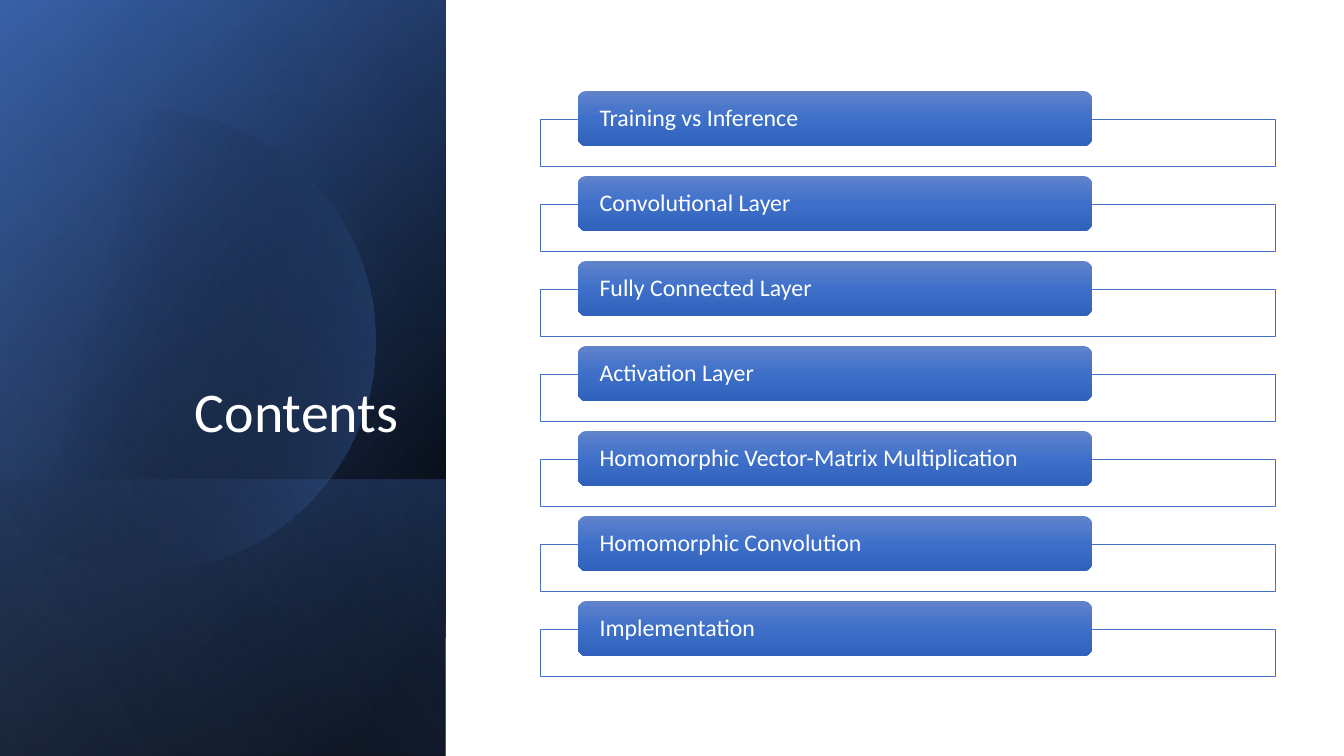
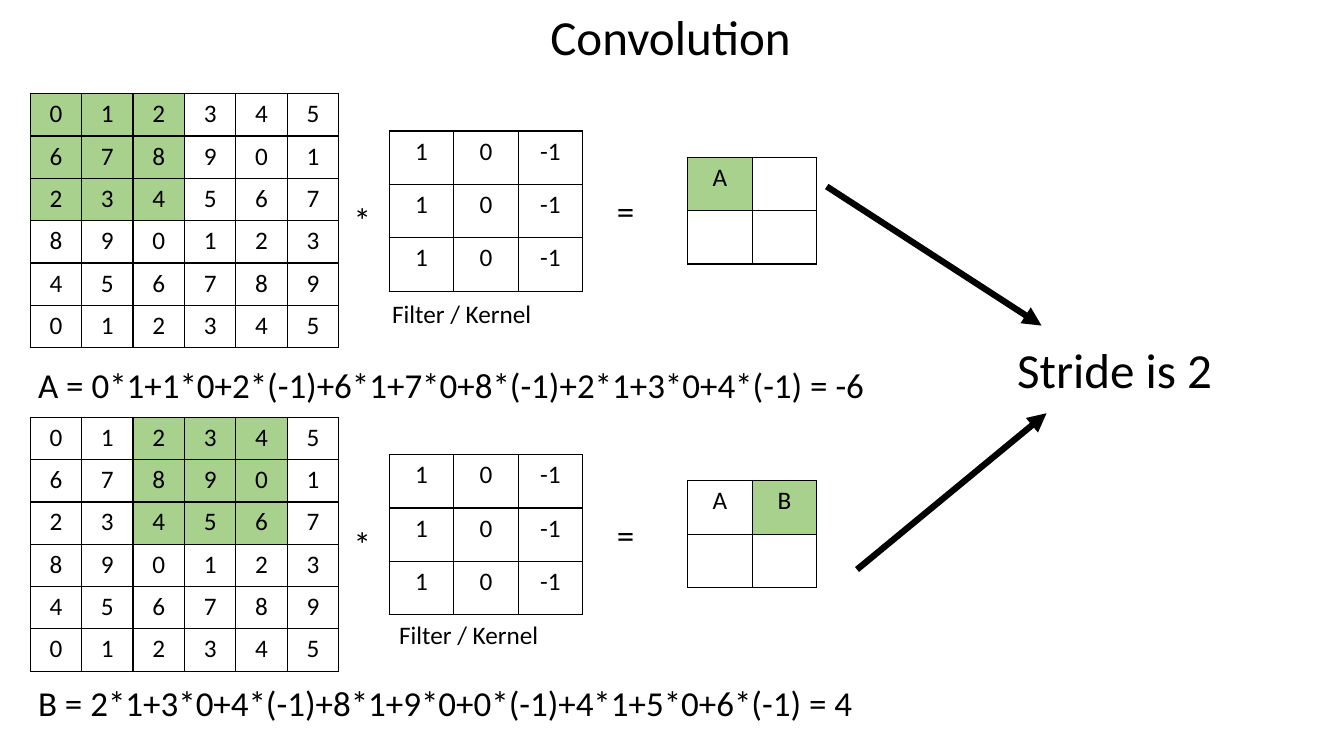
from math import acos, cos, sin
from lxml.etree import SubElement
from pptx import Presentation
from pptx.dml.color import RGBColor
from pptx.enum.shapes import MSO_CONNECTOR, MSO_SHAPE
from pptx.enum.text import MSO_ANCHOR, PP_ALIGN
from pptx.oxml import parse_xml
from pptx.oxml.ns import nsdecls, qn
from pptx.util import Inches, Pt

# Shared look
FONT = "Calibri"
COLORS = {"black": "000000", "white": "FFFFFF", "navy": "2F5597", "blue": "4472C4",
          "pale_blue": "8FAADC", "green": "A9D18E", "pill_top": "6183CB",
          "pill_middle": "3E70CA", "pill_bottom": "3062BB"}


def rgb(name):
    return RGBColor.from_string(COLORS[name])


# Text
def write_text(frame, text, size=18, color="black", align=PP_ALIGN.LEFT,
               anchor=MSO_ANCHOR.TOP, wrap=True, spacing=None, after=None):
    frame.word_wrap = wrap
    frame.vertical_anchor = anchor
    para = frame.paragraphs[0]
    para.alignment = align
    para.line_spacing = spacing
    para.space_after = after
    span = para.add_run()
    span.text = text
    span.font.name = FONT
    span.font.size = Pt(size)
    span.font.color.rgb = rgb(color)


def add_text(page, box, text, **style):
    frame = page.shapes.add_textbox(*map(Inches, box)).text_frame
    write_text(frame, text, **style)


# Fills, shapes and lines
def fill_gradient(shape, stops, angle):
    """Each stop is (position %, color name, opacity %)."""
    stop_xml = "".join(
        f'<a:gs pos="{position * 1000}"><a:srgbClr val="{COLORS[color]}">'
        f'<a:alpha val="{opacity * 1000}"/></a:srgbClr></a:gs>'
        for position, color, opacity in stops)
    gradient = parse_xml(
        f'<a:gradFill {nsdecls("a")} rotWithShape="1"><a:gsLst>{stop_xml}</a:gsLst>'
        f'<a:lin ang="{angle * 60000}" scaled="0"/></a:gradFill>')
    shape.fill.background()
    properties = shape._element.spPr
    properties.replace(properties.find(qn("a:noFill")), gradient)
    shape.line.fill.background()
    shape.shadow.inherit = False


def add_turned_panel(page, box, stops, angle):
    """Mirrored rectangle turned a quarter so that it covers the box."""
    left, top, width, height = box
    shift = (width - height) / 2
    panel = page.shapes.add_shape(
        MSO_SHAPE.RECTANGLE, *map(Inches, (left + shift, top - shift, height, width)))
    panel.rotation = 90
    panel._element.spPr.xfrm.set("flipH", "1")
    fill_gradient(panel, stops, angle)


def add_arrow(page, start, end):
    arrow = page.shapes.add_connector(MSO_CONNECTOR.STRAIGHT, *map(Inches, start + end))
    arrow.line.color.rgb = rgb("black")
    arrow.line.width = Pt(4.5)
    SubElement(arrow.line._get_or_add_ln(), qn("a:tailEnd"), type="triangle")
    SubElement(arrow._element.spPr, qn("a:effectLst"))


# Tables
def add_grid(page, left, top, cell_width, cell_height, rows, shaded):
    table = page.shapes.add_table(
        len(rows), len(rows[0]), Inches(left), Inches(top),
        Inches(cell_width * len(rows[0])), Inches(cell_height * len(rows))).table
    table.first_row = table.horz_banding = False
    for column in table.columns:
        column.width = Inches(cell_width)
    for row_index, values in enumerate(rows):
        table.rows[row_index].height = Inches(cell_height)
        for column_index, value in enumerate(values):
            cell = table.cell(row_index, column_index)
            if value != " ":
                write_text(cell.text_frame, value, align=PP_ALIGN.CENTER)
            if (row_index, column_index) in shaded:
                cell.fill.solid()
                cell.fill.fore_color.rgb = rgb("green")
            else:
                cell.fill.background()
            add_borders(cell)


def add_borders(cell):
    properties = cell._tc.get_or_add_tcPr()
    for index, side in enumerate("LRTB"):
        properties.insert(index, parse_xml(
            f'<a:ln{side} {nsdecls("a")} w="12700"><a:solidFill>'
            f'<a:srgbClr val="{COLORS["black"]}"/></a:solidFill></a:ln{side}>'))


# Contents slide
def draw_side_panel(page, box, title):
    left, top, width, height = box
    add_turned_panel(page, box, [(8, "black", 100), (100, "navy", 100)], 50)
    add_turned_panel(page, box, [(0, "black", 0), (99, "blue", 46)], 30)
    band_height = 2.74
    add_turned_panel(page, (left, top + height - band_height, width, band_height),
                     [(2, "blue", 29), (100, "black", 30)], 130)
    draw_cut_disc(page, left, left + 1.43, top + 3.38, 2.29)
    add_turned_panel(page, box, [(0, "black", 0), (99, "pale_blue", 11)], 120)
    add_text(page, (left + 0.64, top + 1.84, 3.41, 2.62), title, size=40, color="white",
             align=PP_ALIGN.RIGHT, anchor=MSO_ANCHOR.BOTTOM, spacing=0.9, after=Pt(6))


def draw_cut_disc(page, edge, center_x, center_y, radius):
    """Disc cut off by the vertical line at edge."""
    steps = 120
    reach = acos((edge - center_x) / radius)
    angles = [reach * (2 * step / steps - 1) for step in range(steps + 1)]
    points = [(Inches(center_x + radius * cos(angle)), Inches(center_y + radius * sin(angle)))
              for angle in angles]
    builder = page.shapes.build_freeform(*points[0])
    builder.add_line_segments(points[1:], close=True)
    fill_gradient(builder.convert_to_shape(), [(29, "black", 0), (100, "blue", 43)], 14)


def draw_topic_list(page, box, topics):
    left, top, width, height = box
    frame_height, pill_height, overlap = 0.47, 0.55, 0.28
    pitch = (height - overlap - frame_height) / (len(topics) - 1)
    for index, topic in enumerate(topics):
        row_top = top + index * pitch
        frame = page.shapes.add_shape(
            MSO_SHAPE.RECTANGLE, *map(Inches, (left, row_top + overlap, width, frame_height)))
        frame.fill.solid()
        frame.fill.fore_color.rgb = rgb("white")
        frame.line.color.rgb = rgb("blue")
        frame.line.width = Pt(0.5)
        frame.shadow.inherit = False
        pill = page.shapes.add_shape(
            MSO_SHAPE.ROUNDED_RECTANGLE,
            *map(Inches, (left + 0.37, row_top, width * 0.7, pill_height)))
        fill_gradient(pill, [(0, "pill_top", 100), (50, "pill_middle", 100),
                             (100, "pill_bottom", 100)], 90)
        pill.text_frame.margin_left = pill.text_frame.margin_right = Inches(0.19)
        pill.text_frame.margin_top = pill.text_frame.margin_bottom = 0
        write_text(pill.text_frame, topic, size=17, color="white",
                   anchor=MSO_ANCHOR.MIDDLE, spacing=0.9)


def build_contents(page):
    draw_side_panel(page, (0, 0, 4.42, 7.5), "Contents")
    draw_topic_list(page, (5.36, 0.9, 7.29, 5.81), [
        "Training vs Inference", "Convolutional Layer", "Fully Connected Layer",
        "Activation Layer", "Homomorphic Vector-Matrix Multiplication",
        "Homomorphic Convolution", "Implementation"])


# Convolution slide
def draw_step(page, left, top, first_column, result, result_cell, caption_at, formula, formula_top):
    digits = [[str((6 * row + column) % 10) for column in range(6)] for row in range(6)]
    window = {(row, first_column + column) for row in range(3) for column in range(3)}
    add_grid(page, left, top, 0.51, 0.42, digits, window)
    add_text(page, (left + 3.11, top + 0.99, 0.38, 0.52), "*", size=25, wrap=False)
    add_grid(page, left + 3.56, top + 0.37, 0.64, 0.53, [["1", "0", "-1"]] * 3, set())
    add_text(page, (left + 5.72, top + 0.9, 0.38, 0.52), "=", size=25)
    add_grid(page, left + 6.52, top + 0.63, 0.64, 0.53, [result, "  "], {result_cell})
    add_text(page, (*caption_at, 2.15, 0.4), "Filter / Kernel")
    add_text(page, (left - 0.02, formula_top, 8.64, 0.52), formula, size=25)


def build_convolution(page):
    add_text(page, (5.36, 0.02, 2.61, 0.69), "Convolution", size=35, wrap=False)
    draw_step(page, 0.3, 0.93, 0, "A ", (0, 0), (3.79, 2.91),
              "A = 0*1+1*0+2*(-1)+6*1+7*0+8*(-1)+2*1+3*0+4*(-1) = -6", 3.56)
    draw_step(page, 0.3, 4.14, 2, "AB", (0, 1), (3.86, 6.09),
              "B = 2*1+3*0+4*(-1)+8*1+9*0+0*(-1)+4*1+5*0+6*(-1) = 4", 6.71)
    add_text(page, (9.99, 3.32, 2.15, 0.69), "Stride is 2", size=35, wrap=False)
    add_arrow(page, (8.2, 1.85), (10.33, 3.23))
    add_arrow(page, (8.5, 5.65), (10.38, 4.1))


deck = Presentation()
deck.slide_width, deck.slide_height = Inches(13.33), Inches(7.5)
for build in (build_contents, build_convolution):
    build(deck.slides.add_slide(deck.slide_layouts[6]))
deck.save("out.pptx")
